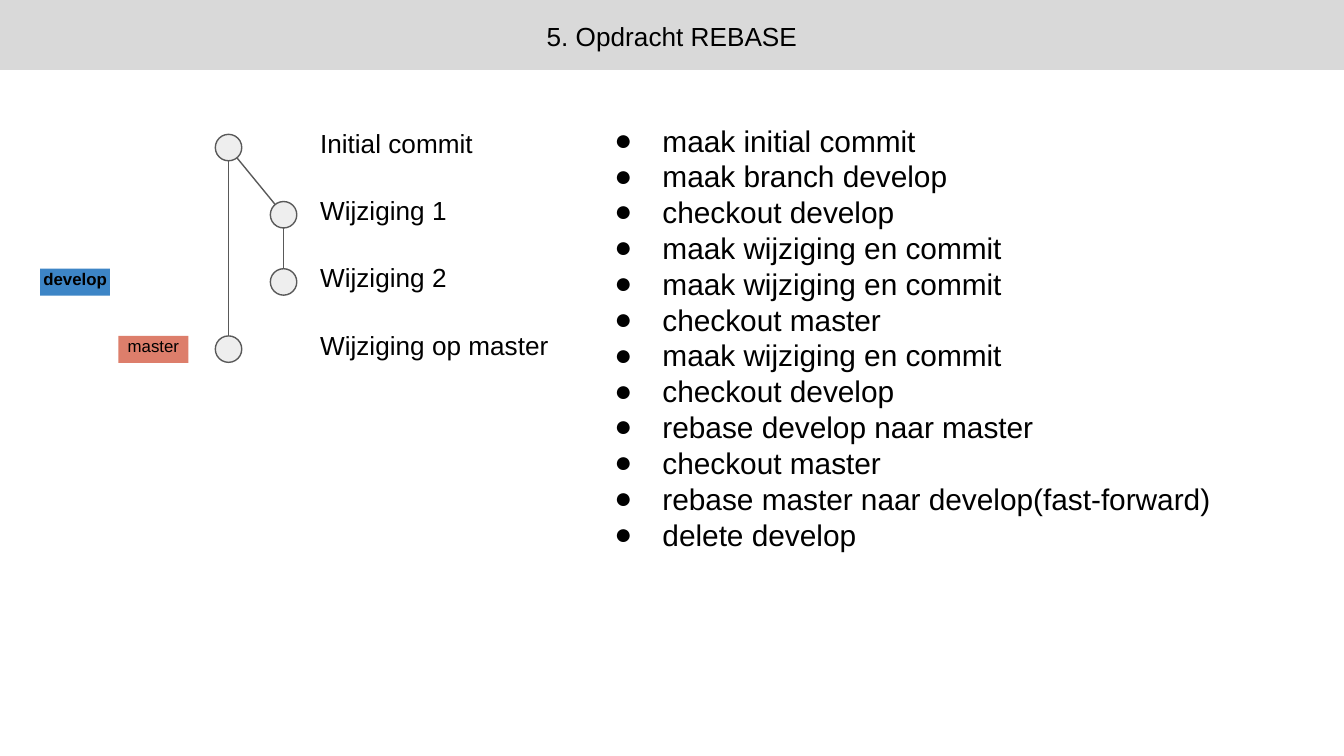
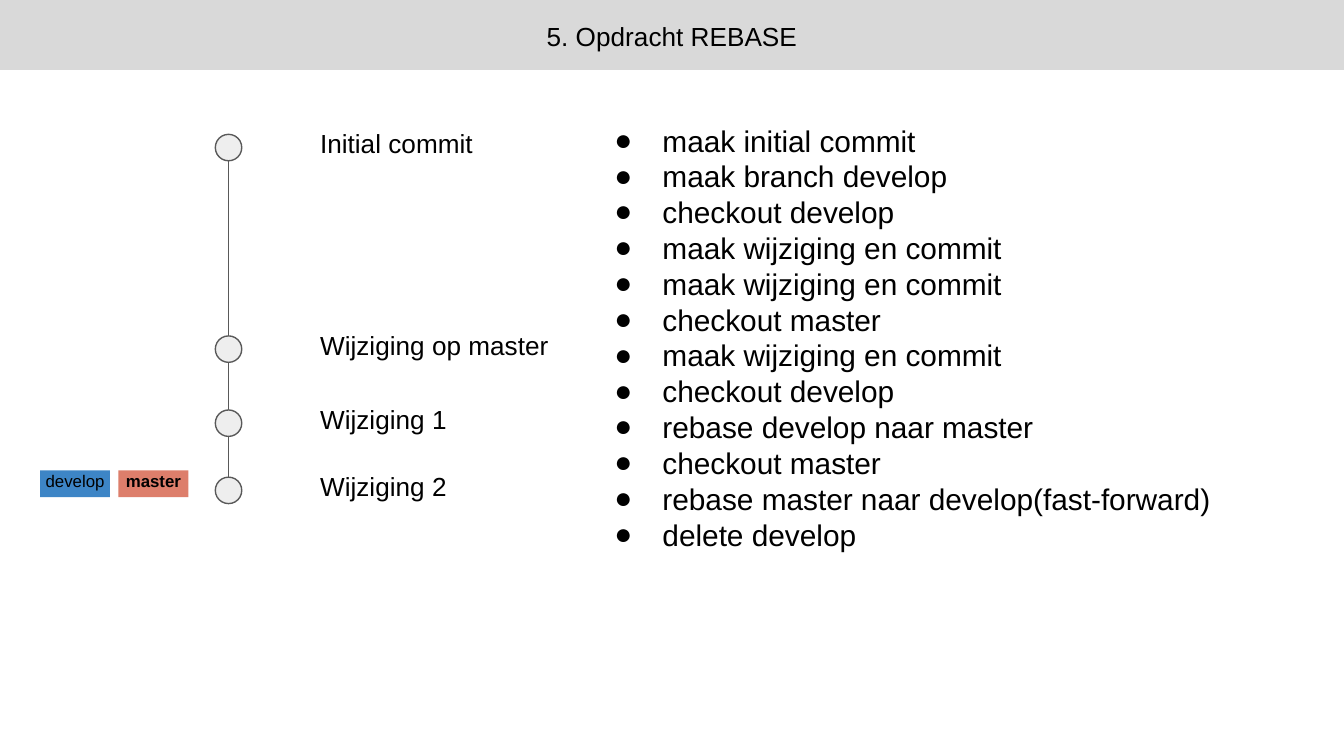
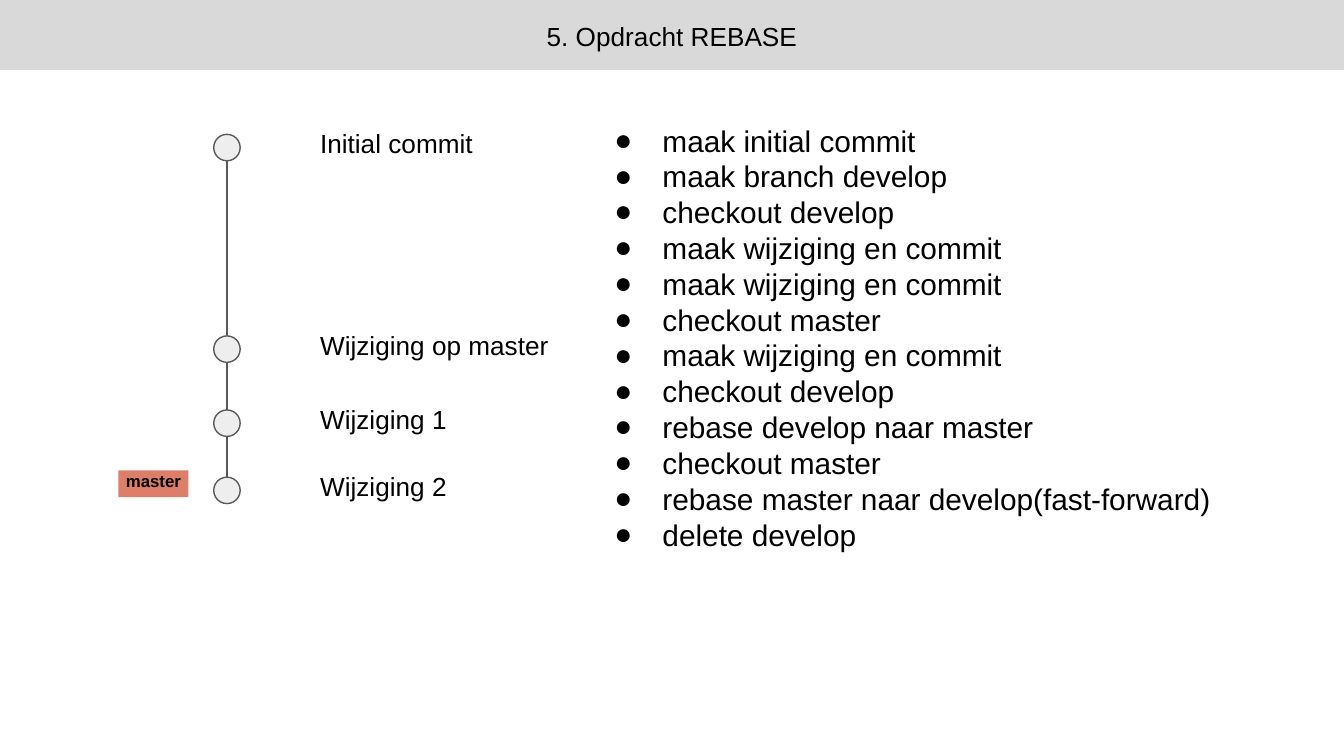
from dataclasses import dataclass
from math import hypot

from lxml.etree import SubElement
from pptx import Presentation
from pptx.dml.color import RGBColor
from pptx.enum.shapes import MSO_CONNECTOR, MSO_SHAPE
from pptx.enum.text import MSO_ANCHOR, MSO_AUTO_SIZE, PP_ALIGN
from pptx.oxml.ns import qn
from pptx.util import Cm, Pt

# Shared style; all lengths are in centimetres
COLOURS = {
    "text": "000000",
    "band": "D9D9D9",
    "commit": "EEEEEE",
    "line": "595959",
    "master": "DD7E6B",
    "develop": "3D85C6",
}
FONT = "Arial"
SLIDE_WIDTH, SLIDE_HEIGHT = 25.4, 14.29
BAND_HEIGHT = 1.32
RADIUS = 0.25
LABEL_LEFT, LABEL_HEIGHT = 6.05, 0.76
TAG_WIDTH, TAG_HEIGHT = 1.32, 0.51
TAG_LEFT = {"develop": 0.76, "master": 2.24}

TITLE = "5. Opdracht REBASE"
STEPS = [
    "maak initial commit",
    "maak branch develop",
    "checkout develop",
    "maak wijziging en commit",
    "maak wijziging en commit",
    "checkout master",
    "maak wijziging en commit",
    "checkout develop",
    "rebase develop naar master",
    "checkout master",
    "rebase master naar develop(fast-forward)",
    "delete develop",
]


@dataclass(frozen=True)
class Commit:
    """A commit circle, given by its centre, with its label."""
    label: str
    x: float
    y: float
    label_width: float = 3.05


@dataclass(frozen=True)
class Tag:
    """A branch name; the current branch is bold."""
    branch: str
    top: float
    current: bool = False


@dataclass(frozen=True)
class History:
    commits: list[Commit]
    links: list[tuple[int, int]]
    tags: list[Tag]


def rgb(name: str) -> RGBColor:
    return RGBColor.from_string(COLOURS[name])


def place(shape, left: float, top: float, width: float, height: float) -> None:
    shape.left, shape.top = Cm(left), Cm(top)
    shape.width, shape.height = Cm(width), Cm(height)


def set_frame(shape, left=0.0, top=0.0, right=0.0, bottom=0.0):
    """Set the insets and return the text frame."""
    frame = shape.text_frame
    frame.auto_size = MSO_AUTO_SIZE.NONE
    frame.word_wrap = True
    frame.vertical_anchor = MSO_ANCHOR.TOP
    frame.margin_left, frame.margin_top = Cm(left), Cm(top)
    frame.margin_right, frame.margin_bottom = Cm(right), Cm(bottom)
    return frame


def style(paragraph, size: int, alignment=PP_ALIGN.LEFT, bold: bool = False) -> None:
    paragraph.alignment = alignment
    font = paragraph.font
    font.name, font.size, font.bold = FONT, Pt(size), bold
    font.color.rgb = rgb("text")


def add_bullet(paragraph) -> None:
    properties = paragraph._p.get_or_add_pPr()
    properties.set("marL", str(Cm(1.27)))
    properties.set("indent", str(Cm(-0.91)))
    colour = SubElement(properties, qn("a:buClr"))
    SubElement(colour, qn("a:srgbClr"), val=COLOURS["text"])
    SubElement(properties, qn("a:buFont"), typeface=FONT)
    SubElement(properties, qn("a:buChar"), char="●")


def add_title(slide) -> None:
    title = slide.shapes.title
    place(title, 0, 0, SLIDE_WIDTH, BAND_HEIGHT)
    title.fill.solid()
    title.fill.fore_color.rgb = rgb("band")
    frame = set_frame(title, 0.25, 0.38, 0.25, 0.25)
    frame.text = TITLE
    style(frame.paragraphs[0], 14, PP_ALIGN.CENTER)


def add_steps(slide) -> None:
    body = slide.placeholders[1]
    place(body, 11, 2.06, 14.4, 8.86)
    frame = set_frame(body, 0.25, 0.25, 0.25, 0.25)
    frame.text = "\n".join(STEPS)
    for paragraph in frame.paragraphs:
        paragraph.space_before = Pt(0)
        add_bullet(paragraph)
        style(paragraph, 16)


def add_link(slide, parent: Commit, child: Commit) -> None:
    """Join two circles from edge to edge."""
    across, down = child.x - parent.x, child.y - parent.y
    share = RADIUS / hypot(across, down)
    connector = slide.shapes.add_connector(
        MSO_CONNECTOR.STRAIGHT,
        Cm(parent.x + across * share), Cm(parent.y + down * share),
        Cm(child.x - across * share), Cm(child.y - down * share))
    connector.line.color.rgb = rgb("line")
    connector.line.width = Pt(0.75)
    SubElement(connector._element.spPr, qn("a:effectLst"))


def add_commit(slide, commit: Commit) -> None:
    circle = slide.shapes.add_shape(
        MSO_SHAPE.OVAL, Cm(commit.x - RADIUS), Cm(commit.y - RADIUS),
        Cm(2 * RADIUS), Cm(2 * RADIUS))
    circle.shadow.inherit = False
    circle.fill.solid()
    circle.fill.fore_color.rgb = rgb("commit")
    circle.line.color.rgb = rgb("line")
    circle.line.width = Pt(0.75)

    label = slide.shapes.add_textbox(
        Cm(LABEL_LEFT), Cm(commit.y - LABEL_HEIGHT / 2),
        Cm(commit.label_width), Cm(LABEL_HEIGHT))
    frame = set_frame(label)
    frame.text = commit.label
    style(frame.paragraphs[0], 14)


def add_tag(slide, tag: Tag) -> None:
    box = slide.shapes.add_shape(
        MSO_SHAPE.RECTANGLE, Cm(TAG_LEFT[tag.branch]), Cm(tag.top),
        Cm(TAG_WIDTH), Cm(TAG_HEIGHT))
    box.shadow.inherit = False
    box.fill.solid()
    box.fill.fore_color.rgb = rgb(tag.branch)
    box.line.fill.background()
    frame = set_frame(box)
    frame.text = tag.branch
    style(frame.paragraphs[0], 9, PP_ALIGN.CENTER, tag.current)


def add_history_slide(presentation, history: History) -> None:
    slide = presentation.slides.add_slide(presentation.slide_layouts[1])
    for parent, child in history.links:
        add_link(slide, history.commits[parent], history.commits[child])
    for commit in history.commits:
        add_commit(slide, commit)
    for tag in history.tags:
        add_tag(slide, tag)
    add_title(slide)
    add_steps(slide)


def rebased_commits(x: float) -> list[Commit]:
    """The straight history after the rebase."""
    return [
        Commit("Initial commit", x, 2.79),
        Commit("Wijziging op master", x, 6.6, 4.7),
        Commit("Wijziging 1", x, 8),
        Commit("Wijziging 2", x, 9.27),
    ]


STRAIGHT_LINKS = [(0, 1), (1, 2), (2, 3)]
HISTORIES = [
    # Develop has branched off master
    History(
        [
            Commit("Initial commit", 4.32, 2.79),
            Commit("Wijziging 1", 5.36, 4.06),
            Commit("Wijziging 2", 5.36, 5.33),
            Commit("Wijziging op master", 4.32, 6.6, 4.7),
        ],
        [(0, 1), (1, 2), (0, 3)],
        [Tag("develop", 5.08, current=True), Tag("master", 6.35)],
    ),
    # Both branches point at the last commit
    History(rebased_commits(4.32), STRAIGHT_LINKS,
            [Tag("develop", 8.89), Tag("master", 8.89, current=True)]),
    # Develop has been deleted
    History(rebased_commits(4.29), STRAIGHT_LINKS,
            [Tag("master", 8.89, current=True)]),
]

presentation = Presentation()
presentation.slide_width = Cm(SLIDE_WIDTH)
presentation.slide_height = Cm(SLIDE_HEIGHT)
for history in HISTORIES:
    add_history_slide(presentation, history)
presentation.save("out.pptx")
